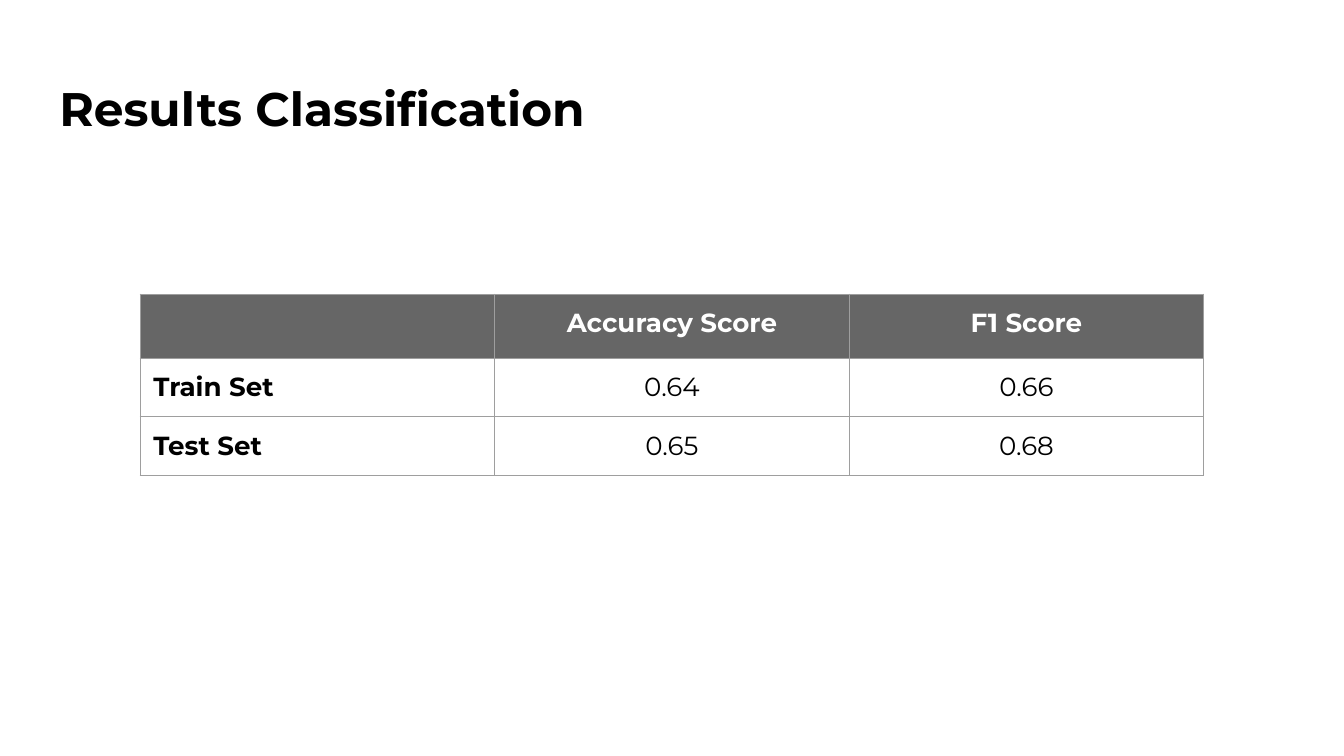
from lxml.etree import SubElement
from pptx import Presentation
from pptx.dml.color import RGBColor
from pptx.enum.text import MSO_ANCHOR, PP_ALIGN
from pptx.oxml.ns import qn
from pptx.util import Cm, Pt

FONT = "Montserrat"
BLACK, WHITE, HEADER_GRAY, BORDER_GRAY = "000000", "FFFFFF", "666666", "9E9E9E"
PADDING = Cm(0.25)
SCORES = [
    ["", "Accuracy Score", "F1 Score"],
    ["Train Set", "0.64", "0.66"],
    ["Test Set", "0.65", "0.68"],
]


def color(hex_value):
    return RGBColor.from_string(hex_value)


def add_text(paragraph, text, size, hex_value, bold, alignment=PP_ALIGN.LEFT):
    paragraph.alignment = alignment
    run = paragraph.add_run()
    run.text = text
    run.font.name = FONT
    run.font.size = Pt(size)
    run.font.bold = bold
    run.font.color.rgb = color(hex_value)


def set_padding(target, padding):
    target.margin_left = target.margin_right = padding
    target.margin_top = target.margin_bottom = padding


def set_borders(cell):
    """Draw a thin line on all four sides; call before filling the cell."""
    properties = cell._tc.get_or_add_tcPr()
    for side in ("a:lnL", "a:lnR", "a:lnT", "a:lnB"):
        line = SubElement(properties, qn(side), w=str(Pt(0.75)))
        fill = SubElement(line, qn("a:solidFill"))
        SubElement(fill, qn("a:srgbClr"), val=BORDER_GRAY)


def add_title(slide, text):
    title = slide.shapes.title
    title.left, title.top = Cm(0.87), Cm(1.25)
    title.width, title.height = Cm(23.67), Cm(1.59)
    frame = title.text_frame
    frame.word_wrap = True
    frame.vertical_anchor = MSO_ANCHOR.TOP
    set_padding(frame, PADDING)
    add_text(frame.paragraphs[0], text, 25.2, BLACK, True)


def format_cell(cell, text, is_header, is_label):
    set_borders(cell)
    cell.vertical_anchor = MSO_ANCHOR.TOP
    if is_header:
        cell.fill.solid()
        cell.fill.fore_color.rgb = color(HEADER_GRAY)
    else:
        cell.fill.background()
    # The empty corner needs no padding, so it cannot stretch its row
    set_padding(cell, PADDING if text else 0)
    if text:
        alignment = PP_ALIGN.LEFT if is_label else PP_ALIGN.CENTER
        add_text(cell.text_frame.paragraphs[0], text, 14,
                 WHITE if is_header else BLACK, is_header or is_label, alignment)


def add_score_table(slide, rows):
    row_heights = [Cm(1.21)] + [Cm(1.11)] * (len(rows) - 1)
    frame = slide.shapes.add_table(len(rows), len(rows[0]), Cm(2.65), Cm(5.56),
                                   Cm(20.1), sum(row_heights))
    table = frame.table
    for column in table.columns:
        column.width = Cm(6.7)
    for row_index, values in enumerate(rows):
        table.rows[row_index].height = row_heights[row_index]
        for column_index, text in enumerate(values):
            format_cell(table.cell(row_index, column_index), text,
                        row_index == 0, column_index == 0)


def main():
    presentation = Presentation()
    presentation.slide_width, presentation.slide_height = Cm(25.4), Cm(14.29)

    # Title-only layout
    slide = presentation.slides.add_slide(presentation.slide_layouts[5])
    add_title(slide, "Results Classification")

    # Scores by data set
    add_score_table(slide, SCORES)
    presentation.save("out.pptx")


if __name__ == "__main__":
    main()
